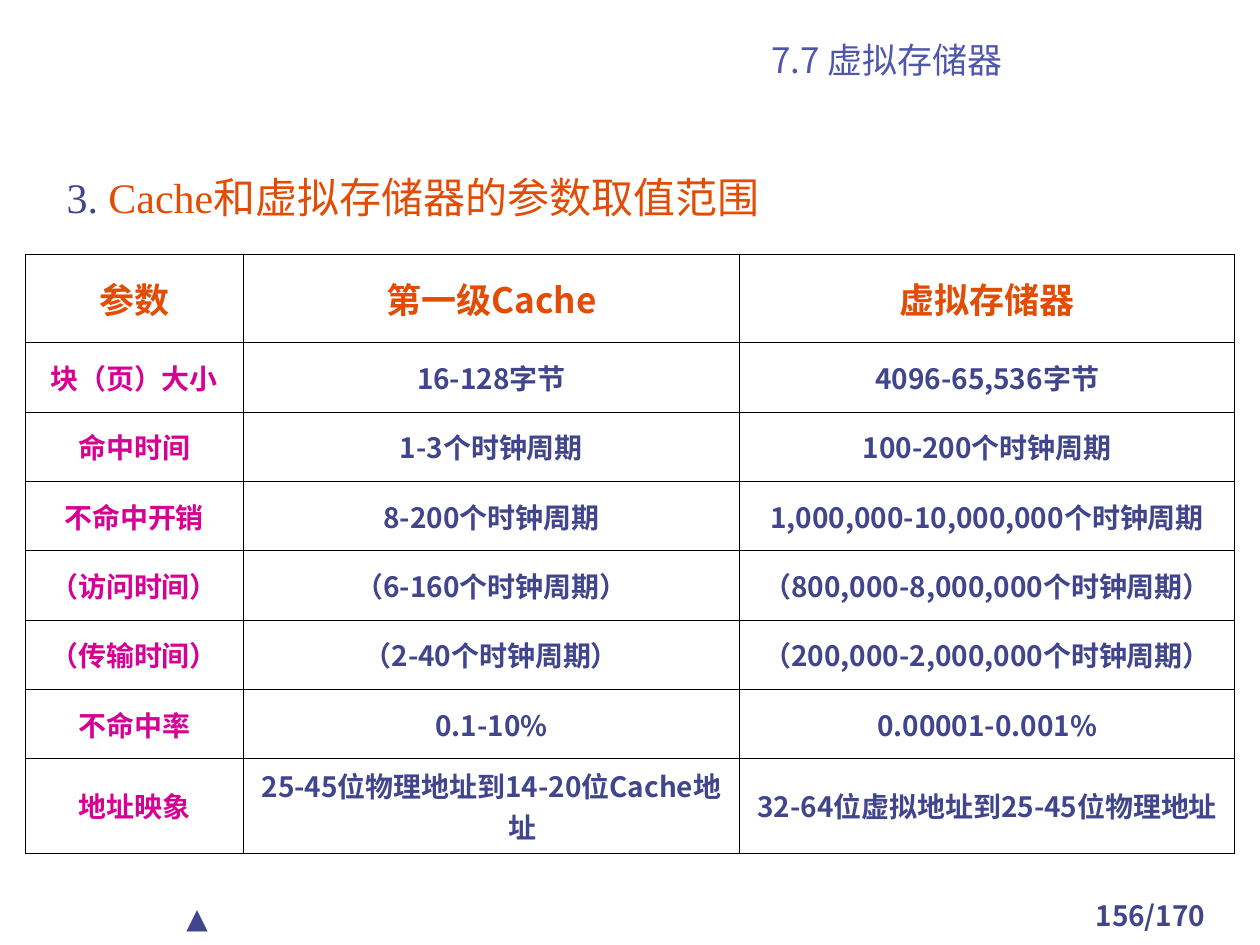
from dataclasses import dataclass

from lxml.etree import SubElement
from pptx import Presentation
from pptx.dml.color import RGBColor
from pptx.enum.text import MSO_ANCHOR as Anchor, MSO_AUTO_SIZE as AutoSize, PP_ALIGN as Align
from pptx.oxml import parse_xml
from pptx.oxml.ns import nsdecls, qn
from pptx.util import Inches, Pt

CJK, LATIN, SERIF = "Noto Sans CJK SC", "Lato", "Times New Roman"
NAVY, ORANGE, MAGENTA, VIOLET = "40458C", "E24C05", "D60093", "4F56AD"
BORDER_COLOR, BORDER_WIDTH = "000000", Pt(0.45)
HANGING_INDENT = Inches(0.49)

COLUMN_WIDTHS = [1.73, 3.94, 3.93]
ROW_HEIGHTS = [0.7] + [0.55] * 6 + [0.75]
PARAMETER_ROWS = [
    ("参数", "第一级Cache", "虚拟存储器"),
    ("块（页）大小", "16-128字节", "4096-65,536字节"),
    ("命中时间", "1-3个时钟周期", "100-200个时钟周期"),
    ("不命中开销", "8-200个时钟周期", "1,000,000-10,000,000个时钟周期"),
    ("（访问时间）", "（6-160个时钟周期）", "（800,000-8,000,000个时钟周期）"),
    ("（传输时间）", "（2-40个时钟周期）", "（200,000-2,000,000个时钟周期）"),
    ("不命中率", "0.1-10%", "0.00001-0.001%"),
    ("地址映象", "25-45位物理地址到14-20位Cache地址", "32-64位虚拟地址到25-45位物理地址"),
]


@dataclass(frozen=True)
class TextStyle:
    size: float
    color: str
    font: str = CJK
    bold: bool = False


@dataclass(frozen=True)
class Label:
    left: float
    top: float
    width: float
    height: float
    runs: tuple[tuple[str, TextStyle], ...]
    align: Align = Align.LEFT
    space_before: float = 0
    anchor: Anchor = Anchor.TOP
    inset: tuple[float, float] = (0.1, 0.05)
    grow: bool = False


LABELS = [
    Label(8.42, 7.08, 1.42, 0.33, (("156/170", TextStyle(16, NAVY, bold=True)),), Align.CENTER),
    Label(1.38, 7.1, 1.42, 0.37, (("▲", TextStyle(16, NAVY, LATIN)),), space_before=10, grow=True),
    Label(4.25, 0.27, 5.58, 0.42, (("7.7 虚拟存储器", TextStyle(20, VIOLET)),), Align.CENTER,
          anchor=Anchor.BOTTOM, inset=(0, 0.05)),
    Label(0.43, 1.31, 6.06, 0.5,
          (("3.", TextStyle(24, NAVY, SERIF)),
           (" Cache和虚拟存储器的参数取值范围", TextStyle(24, ORANGE, SERIF))),
          space_before=15, grow=True),
]


def rgb(color: str) -> RGBColor:
    return RGBColor.from_string(color)


def format_run(run, style: TextStyle) -> None:
    font = run.font
    font.size, font.bold, font.name = Pt(style.size), style.bold, style.font
    font.color.rgb = rgb(style.color)
    SubElement(font._element, qn("a:ea"), typeface=CJK)


def add_label(slide, label: Label) -> None:
    shape = slide.shapes.add_textbox(
        Inches(label.left), Inches(label.top), Inches(label.width), Inches(label.height))
    frame = shape.text_frame
    frame.word_wrap = True
    frame.auto_size = AutoSize.SHAPE_TO_FIT_TEXT if label.grow else AutoSize.NONE
    frame.vertical_anchor = label.anchor
    frame.margin_left = frame.margin_right = Inches(label.inset[0])
    frame.margin_top = frame.margin_bottom = Inches(label.inset[1])
    paragraph = frame.paragraphs[0]
    paragraph.alignment = label.align
    paragraph.space_before = Pt(label.space_before)
    for text, style in label.runs:
        run = paragraph.add_run()
        run.text = text
        format_run(run, style)


def add_borders(cell) -> None:
    """Outline the cell; border elements must precede its fill."""
    properties = cell._tc.get_or_add_tcPr()
    for position, side in enumerate(("lnL", "lnR", "lnT", "lnB")):
        properties.insert(position, parse_xml(
            f'<a:{side} {nsdecls("a")} w="{BORDER_WIDTH}"><a:solidFill>'
            f'<a:srgbClr val="{BORDER_COLOR}"/></a:solidFill></a:{side}>'))


def cell_style(row: int, column: int) -> TextStyle:
    if row == 0:
        return TextStyle(20, ORANGE, bold=True)
    return TextStyle(16, MAGENTA if column == 0 else NAVY, bold=True)


def fill_cell(cell, text: str, style: TextStyle) -> None:
    cell.fill.background()
    add_borders(cell)
    cell.vertical_anchor = Anchor.MIDDLE
    cell.margin_left = cell.margin_right = Inches(0.1)
    cell.margin_top = cell.margin_bottom = Inches(0.05)
    paragraph = cell.text_frame.paragraphs[0]
    paragraph.text = text
    paragraph.alignment = Align.CENTER
    properties = paragraph._p.get_or_add_pPr()
    properties.set("marL", str(HANGING_INDENT))
    properties.set("indent", str(-HANGING_INDENT))
    format_run(paragraph.runs[0], style)


def add_parameter_table(slide) -> None:
    table = slide.shapes.add_table(
        len(ROW_HEIGHTS), len(COLUMN_WIDTHS), Inches(0.2), Inches(2.02),
        Inches(sum(COLUMN_WIDTHS)), Inches(sum(ROW_HEIGHTS))).table
    table.horz_banding = False
    for column, width in zip(table.columns, COLUMN_WIDTHS):
        column.width = Inches(width)
    for row, height in zip(table.rows, ROW_HEIGHTS):
        row.height = Inches(height)
    for row, texts in enumerate(PARAMETER_ROWS):
        for column, text in enumerate(texts):
            fill_cell(table.cell(row, column), text, cell_style(row, column))


def main() -> None:
    presentation = Presentation()
    presentation.slide_width, presentation.slide_height = Inches(10), Inches(7.5)
    slide = presentation.slides.add_slide(presentation.slide_layouts[6])
    for label in LABELS:
        add_label(slide, label)
    add_parameter_table(slide)
    presentation.save("out.pptx")


if __name__ == "__main__":
    main()
